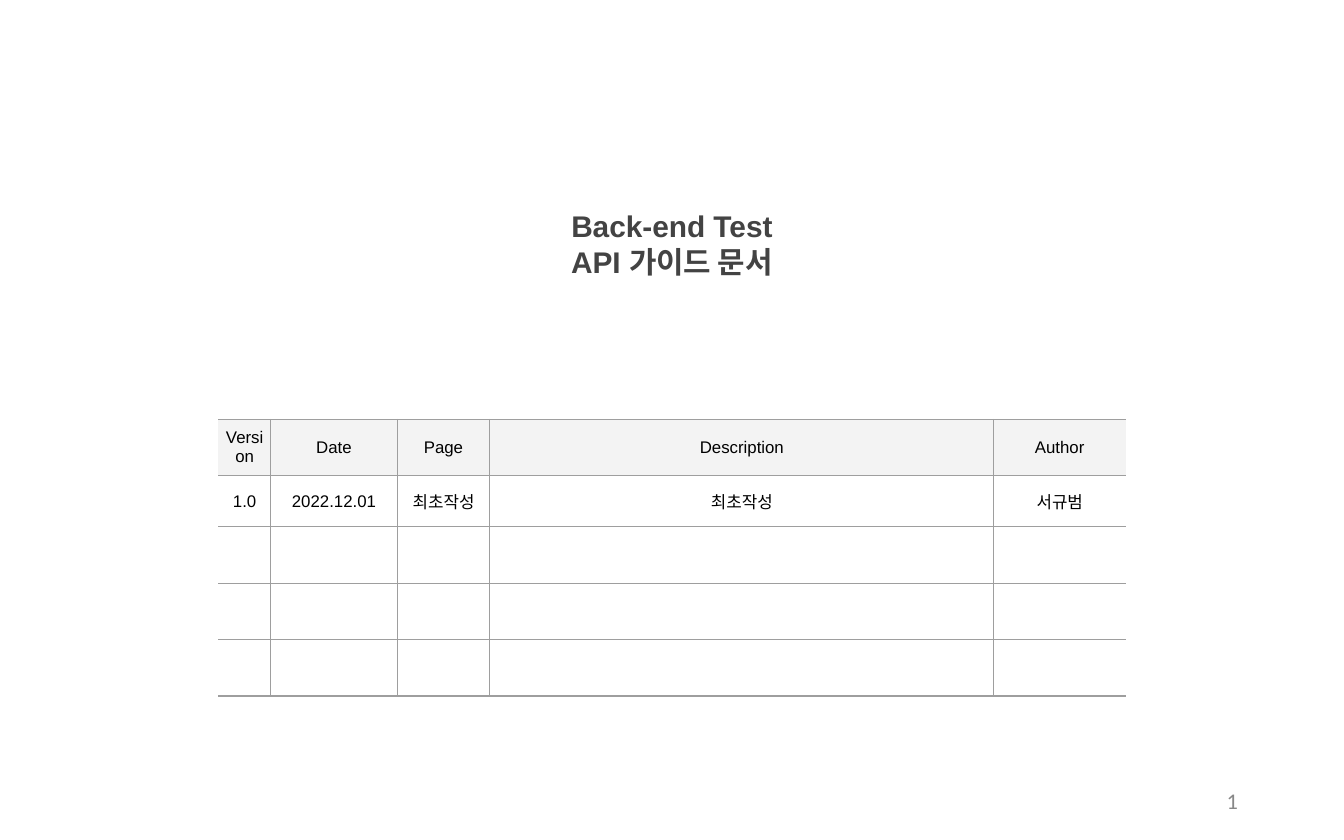
import pptx
import pptx.util
import pptx.dml.color
import pptx.enum.text
import pptx.oxml
import pptx.oxml.ns
from lxml import etree

W, H = 10, 6.25
COLORS = {"paper": "FFFFFF", "title": "434343", "text": "000000",
          "header": "F3F3F3", "rule": "9E9E9E", "number": "888888"}
COL_WIDTHS = [0.39, 0.94, 0.69, 3.75, 0.98]
ROW_HEIGHTS = [0.42, 0.38, 0.42, 0.42, 0.42]
HISTORY = [["Version", "Date", "Page", "Description", "Author"],
           ["1.0", "2022.12.01", "최초작성", "최초작성", "서규범"]]
ALIGN = pptx.enum.text.PP_ALIGN
MIDDLE = pptx.enum.text.MSO_ANCHOR.MIDDLE


def inch(value):
    return pptx.util.Inches(value)


def color(name):
    return pptx.dml.color.RGBColor.from_string(COLORS[name])


def format_paragraph(p, size, font, ink, align=ALIGN.CENTER, bold=False):
    p.alignment = align
    p.font.size = pptx.util.Pt(size)
    p.font.name = font
    p.font.bold = bold
    p.font.color.rgb = color(ink)


def add_title(s, lines):
    sp = s.shapes.title
    sp.left, sp.top = inch(0.351 * W), inch(1.32)
    sp.width, sp.height = inch(0.298 * W), inch(0.71)
    sp.fill.solid()
    sp.fill.fore_color.rgb = color("paper")
    tf = sp.text_frame
    tf.auto_size = pptx.enum.text.MSO_AUTO_SIZE.NONE
    tf.vertical_anchor = MIDDLE
    tf.margin_top = inch(0.32)
    tf.text = "\n".join(lines)
    for p in tf.paragraphs:
        format_paragraph(p, 16, "Arial", "title", bold=True)
        p.space_before = pptx.util.Pt(0)


def set_border(cell, side, visible):
    tcPr = cell._tc.get_or_add_tcPr()
    ln = etree.SubElement(tcPr, pptx.oxml.ns.qn("a:ln" + side))
    ln.set("w", str(pptx.util.Pt(0.75)))
    if visible:
        fill = etree.SubElement(ln, pptx.oxml.ns.qn("a:solidFill"))
        etree.SubElement(fill, pptx.oxml.ns.qn("a:srgbClr")).set("val", COLORS["rule"])
    else:
        etree.SubElement(ln, pptx.oxml.ns.qn("a:noFill"))


def format_cell(cell, text, is_header, is_first, is_last):
    cell.vertical_anchor = MIDDLE
    cell.margin_left = cell.margin_right = inch(0.04)
    cell.margin_top = cell.margin_bottom = inch(0.04)
    for side, visible in (("L", not is_first), ("R", not is_last), ("T", True), ("B", True)):
        set_border(cell, side, visible)
    if is_header:
        cell.fill.solid()
        cell.fill.fore_color.rgb = color("header")
    else:
        cell.fill.background()
    cell.text = text
    format_paragraph(cell.text_frame.paragraphs[0], 9, "Arial", "text")


def add_history_table(s):
    rows, cols = len(ROW_HEIGHTS), len(COL_WIDTHS)
    width = sum(COL_WIDTHS)
    table = s.shapes.add_table(rows, cols, inch((W - width) / 2), inch(3.12),
                               inch(width), inch(sum(ROW_HEIGHTS))).table
    table.first_row = table.horz_banding = False
    for col, w in zip(table.columns, COL_WIDTHS):
        col.width = inch(w)
    for row, h in zip(table.rows, ROW_HEIGHTS):
        row.height = inch(h)
    for i in range(rows):
        for j in range(cols):
            text = HISTORY[i][j] if i < len(HISTORY) else ""
            format_cell(table.cell(i, j), text, i == 0, j == 0, j == cols - 1)


def add_slide_number(s):
    sp = s.shapes.add_textbox(inch(0.706 * W), inch(5.79), inch(0.225 * W), inch(0.33))
    tf = sp.text_frame
    tf.word_wrap = True
    tf.vertical_anchor = MIDDLE
    p = tf.paragraphs[0]
    p.text = "1"
    format_paragraph(p, 12, "Calibri", "number", ALIGN.RIGHT)


def main():
    prs = pptx.Presentation()
    prs.slide_width, prs.slide_height = inch(W), inch(H)
    s = prs.slides.add_slide(prs.slide_layouts[5])
    add_title(s, ["Back-end Test", "API 가이드 문서"])
    add_history_table(s)
    add_slide_number(s)
    prs.save("out.pptx")


main()
